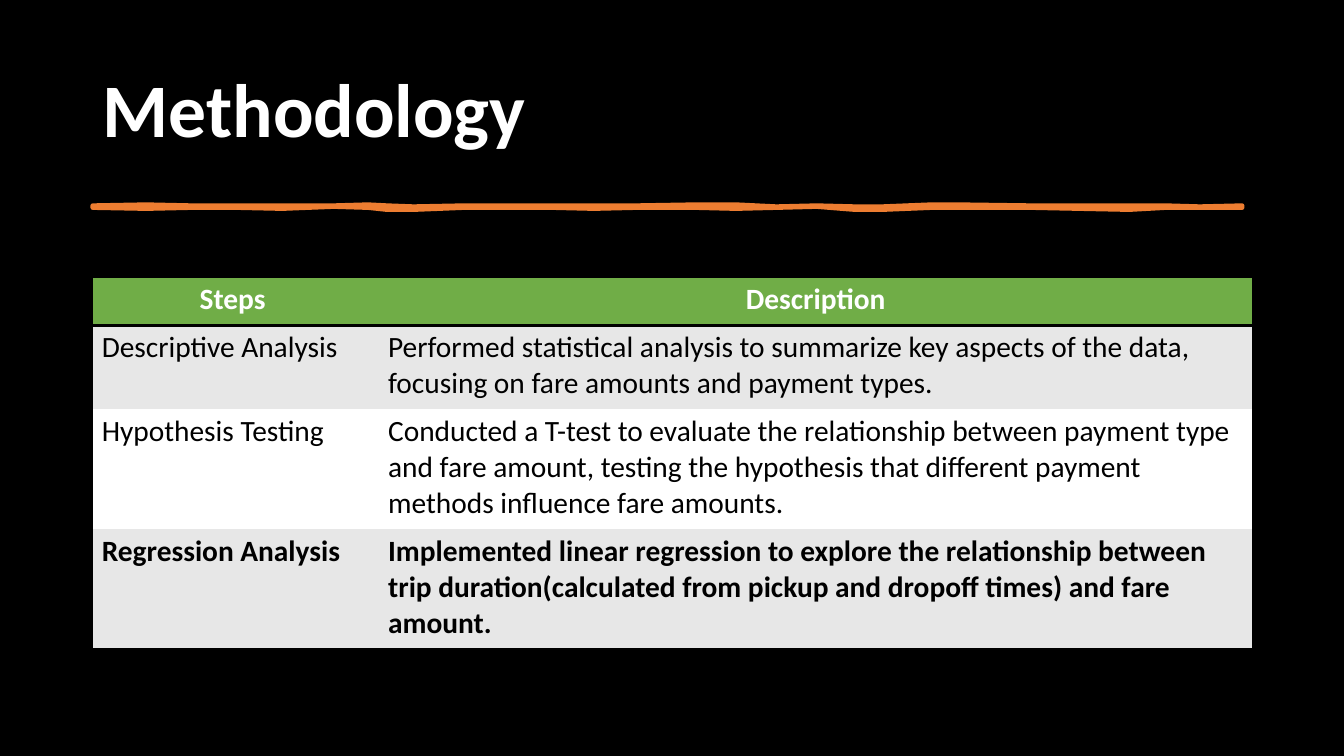
"""Build the Methodology slide: title, hand-drawn rule and table of steps."""
from lxml import etree
from pptx import Presentation, util as u
from pptx.dml.color import RGBColor
from pptx.enum import text
from pptx.oxml.ns import qn

BLACK = RGBColor(0x00, 0x00, 0x00)
WHITE = RGBColor(0xFF, 0xFF, 0xFF)
GREEN = RGBColor(0x70, 0xAD, 0x47)
GREY = RGBColor(0xE7, 0xE7, 0xE7)
ORANGE = RGBColor(0xED, 0x7D, 0x31)
NO_STYLE = "{2D5ABB26-0587-4C30-8999-92F81FD0307C}"

TITLE = "Methodology"
HEADER = ("Steps ", "Description")
STEPS = [
    ("Descriptive Analysis",
     "Performed statistical analysis to summarize key aspects of the data, "
     "focusing on fare amounts and payment types."),
    ("Hypothesis Testing",
     "Conducted a T-test to evaluate the relationship between payment type and fare amount, "
     "testing the hypothesis that different payment methods influence fare amounts."),
    ("Regression Analysis",
     "Implemented linear regression to explore the relationship between "
     "trip duration(calculated from pickup and dropoff times) and fare amount."),
]
LEFT, WIDTH = 0.92, 11.5
COLUMN_WIDTHS = (2.84, 8.66)
ROW_HEIGHTS = (0.48, 0.83, 1.19, 1.19)
RULE_EDGES = [
    (0.92, 2.04, 2.06), (1.45, 2.03, 2.07), (1.9, 2.04, 2.06), (2.35, 2.04, 2.06),
    (2.8, 2.04, 2.07), (3.31, 2.04, 2.05), (3.65, 2.03, 2.06), (3.84, 2.04, 2.08),
    (4.1, 2.05, 2.08), (4.6, 2.04, 2.06), (5.48, 2.04, 2.06), (5.89, 2.04, 2.07),
    (6.31, 2.04, 2.06), (6.9, 2.03, 2.06), (7.3, 2.03, 2.07), (7.7, 2.05, 2.06),
    (8.1, 2.04, 2.05), (8.48, 2.05, 2.08), (8.75, 2.05, 2.08), (9.24, 2.03, 2.06),
    (9.5, 2.03, 2.06), (10.23, 2.04, 2.06), (11.2, 2.04, 2.08), (11.56, 2.04, 2.06),
    (11.9, 2.05, 2.06), (12.32, 2.04, 2.06),
]


def write(frame, words, paragraph_format, size, color, bold):
    paragraph = frame.paragraphs[0]
    for name, value in paragraph_format.items():
        setattr(paragraph, name, value)
    run = paragraph.add_run()
    run.text = words
    font_format = {"name": "Calibri", "size": u.Pt(size), "bold": bold}
    for name, value in font_format.items():
        setattr(run.font, name, value)
    run.font.color.rgb = color


def add_title(slide):
    box = slide.shapes.add_textbox(u.Inches(LEFT), u.Inches(0.4), u.Inches(WIDTH), u.Inches(1.45))
    frame = box.text_frame
    frame.word_wrap = True
    frame.vertical_anchor = text.MSO_ANCHOR.MIDDLE
    write(frame, TITLE, {"line_spacing": 0.9}, 54, WHITE, True)


def add_rule(slide):
    top = [(u.Inches(x), u.Inches(y)) for x, y, _ in RULE_EDGES]
    bottom = [(u.Inches(x), u.Inches(y)) for x, _, y in reversed(RULE_EDGES)]
    builder = slide.shapes.build_freeform(*top[0])
    builder.add_line_segments(top[1:] + bottom, close=True)
    rule = builder.convert_to_shape()
    rule.shadow.inherit = False
    rule.fill.solid()
    rule.fill.fore_color.rgb = ORANGE
    rule.line.color.rgb = ORANGE
    rule.line.width = u.Pt(3.25)
    etree.SubElement(rule.line._get_or_add_ln(), qn("a:round"))


def add_border(cell, side):
    line = etree.Element(qn(f"a:{side}"), w=str(u.Pt(2)))
    fill = etree.SubElement(line, qn("a:solidFill"))
    etree.SubElement(fill, qn("a:srgbClr"), val=str(BLACK))
    properties = cell._tc.get_or_add_tcPr()
    properties.insert(len(properties.findall(qn("a:lnT"))), line)


def add_steps_table(slide):
    rows = [HEADER] + STEPS
    last = len(rows) - 1
    frame = slide.shapes.add_table(len(rows), len(HEADER), u.Inches(LEFT), u.Inches(2.75),
                                   u.Inches(WIDTH), u.Inches(sum(ROW_HEIGHTS)))
    table = frame.table
    table._tbl.tblPr.find(qn("a:tableStyleId")).text = NO_STYLE
    for column, width in zip(table.columns, COLUMN_WIDTHS):
        column.width = u.Inches(width)
    for index, (row, height, words) in enumerate(zip(table.rows, ROW_HEIGHTS, rows)):
        row.height = u.Inches(height)
        is_header = index == 0
        color = WHITE if is_header else BLACK
        background = GREEN if is_header else (GREY if index % 2 else WHITE)
        alignment = text.PP_ALIGN.CENTER if is_header else text.PP_ALIGN.LEFT
        sides = ("lnT", "lnB") if is_header else ("lnB",) if index == last else ()
        for cell, phrase in zip(row.cells, words):
            cell.margin_left = cell.margin_right = u.Inches(0.09)
            cell.margin_top = cell.margin_bottom = u.Inches(0.04)
            cell.fill.solid()
            cell.fill.fore_color.rgb = background
            write(cell.text_frame, phrase, {"alignment": alignment}, 21, color,
                  index in (0, last))
            for side in sides:
                add_border(cell, side)


def main():
    presentation = Presentation()
    presentation.slide_width = u.Inches(13.33)
    presentation.slide_height = u.Inches(7.5)
    slide = presentation.slides.add_slide(presentation.slide_layouts[6])
    slide.background.fill.solid()
    slide.background.fill.fore_color.rgb = BLACK
    add_title(slide)
    add_rule(slide)
    add_steps_table(slide)
    presentation.save("out.pptx")


if __name__ == "__main__":
    main()
